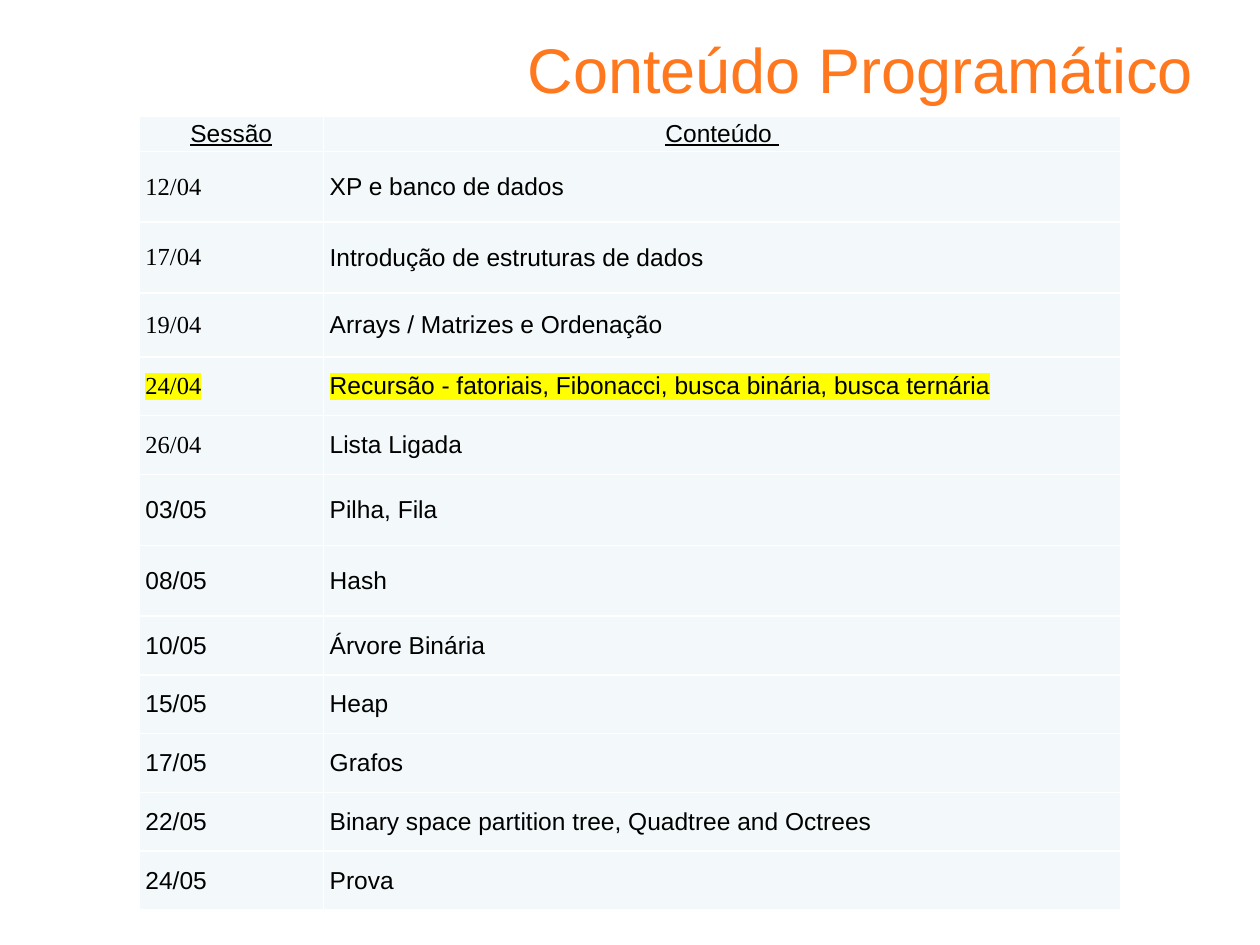
from lxml import etree
from pptx import Presentation, util as u
from pptx.dml.color import RGBColor
from pptx.enum import text
from pptx.oxml import ns

Pt = u.Pt
COLORS = {
    "title": "FF781D",
    "ink": "000000",
    "cell": "F3F9FA",
    "border": "FFFFFF",
    "highlight": "FFFF00",
}
SANS, SERIF = "Arial", "Times New Roman"

HEADINGS = ("Sessão", "Conteúdo ")
SESSIONS = [
    ("12/04", "XP e banco de dados", 40.5),
    ("17/04", "Introdução de estruturas de dados", 40.5),
    ("19/04", "Arrays / Matrizes e Ordenação", 36.5),
    ("24/04", "Recursão - fatoriais, Fibonacci, busca binária, busca ternária", 33.6),
    ("26/04", "Lista Ligada", 33.6),
    ("03/05", "Pilha, Fila", 40.5),
    ("08/05", "Hash", 40.5),
    ("10/05", "Árvore Binária", 33.6),
    ("15/05", "Heap", 33.6),
    ("17/05", "Grafos", 33.6),
    ("22/05", "Binary space partition tree, Quadtree and Octrees", 33.6),
    ("24/05", "Prova", 33.6),
]
CURRENT_DATE = "24/04"
SERIF_DATES = {"12/04", "17/04", "19/04", "24/04", "26/04"}


class Deck:
    def __init__(self, width, height):
        self.presentation = Presentation()
        self.presentation.slide_width = Pt(width)
        self.presentation.slide_height = Pt(height)
        self.slide = None

    def color(self, key):
        return RGBColor.from_string(COLORS[key])

    def add_slide(self):
        self.slide = self.presentation.slides.add_slide(self.presentation.slide_layouts[5])

    def wording(self, frame, content, size, face, color, align):
        frame.text = content
        paragraph = frame.paragraphs[0]
        paragraph.alignment = align
        font = paragraph.runs[0].font
        font.size, font.name = Pt(size), face
        font.color.rgb = self.color(color)
        return font

    def title(self, content, left, top, width, height):
        heading = self.slide.shapes.title
        heading.left, heading.top = Pt(left), Pt(top)
        heading.width, heading.height = Pt(width), Pt(height)
        frame = heading.text_frame
        frame.auto_size = text.MSO_AUTO_SIZE.NONE
        frame.vertical_anchor = text.MSO_ANCHOR.TOP
        frame.margin_top, frame.margin_bottom = Pt(7.5), 0
        self.wording(frame, content, 36, SANS, "title", text.PP_ALIGN.RIGHT)

    def table(self, left, top, widths, heights):
        frame = self.slide.shapes.add_table(
            len(heights), len(widths), Pt(left), Pt(top), Pt(sum(widths)), Pt(sum(heights)))
        table = frame.table
        for column, width in zip(table.columns, widths):
            column.width = Pt(width)
        for row, height in zip(table.rows, heights):
            row.height = Pt(height)
        return table

    def borders(self, cell):
        properties = cell._tc.get_or_add_tcPr()
        for side in ("a:lnL", "a:lnR", "a:lnT", "a:lnB"):
            line = etree.SubElement(properties, ns.qn(side), w=str(Pt(1)))
            fill = etree.SubElement(line, ns.qn("a:solidFill"))
            etree.SubElement(fill, ns.qn("a:srgbClr"), val=COLORS["border"])

    def cell(self, cell, content, face=SANS, align=text.PP_ALIGN.JUSTIFY):
        self.borders(cell)
        cell.fill.solid()
        cell.fill.fore_color.rgb = self.color("cell")
        cell.vertical_anchor = text.MSO_ANCHOR.MIDDLE
        cell.margin_left = cell.margin_right = Pt(3.6)
        cell.margin_top = cell.margin_bottom = 0
        font = self.wording(cell.text_frame, content, 14, face, "ink", align)
        font.bold = False
        return font

    def highlight(self, font):
        marker = etree.Element(ns.qn("a:highlight"))
        etree.SubElement(marker, ns.qn("a:srgbClr"), val=COLORS["highlight"])
        font._element.find(ns.qn("a:solidFill")).addnext(marker)


def main():
    deck = Deck(720, 540)
    deck.add_slide()
    deck.title("Conteúdo Programático", 172.8, 10, 516.2, 50.4)

    heights = [20.2] + [height for _, _, height in SESSIONS]
    schedule = deck.table(79.5, 66.3, (105.3, 455.7), heights)
    for column, heading in enumerate(HEADINGS):
        font = deck.cell(schedule.cell(0, column), heading, align=text.PP_ALIGN.CENTER)
        font.underline = True
    for row, (date, topic, _) in enumerate(SESSIONS, start=1):
        date_face = SERIF if date in SERIF_DATES else SANS
        date_font = deck.cell(schedule.cell(row, 0), date, date_face)
        topic_font = deck.cell(schedule.cell(row, 1), topic)
        if date == CURRENT_DATE:
            deck.highlight(date_font)
            deck.highlight(topic_font)

    deck.presentation.save("out.pptx")


if __name__ == "__main__":
    main()
